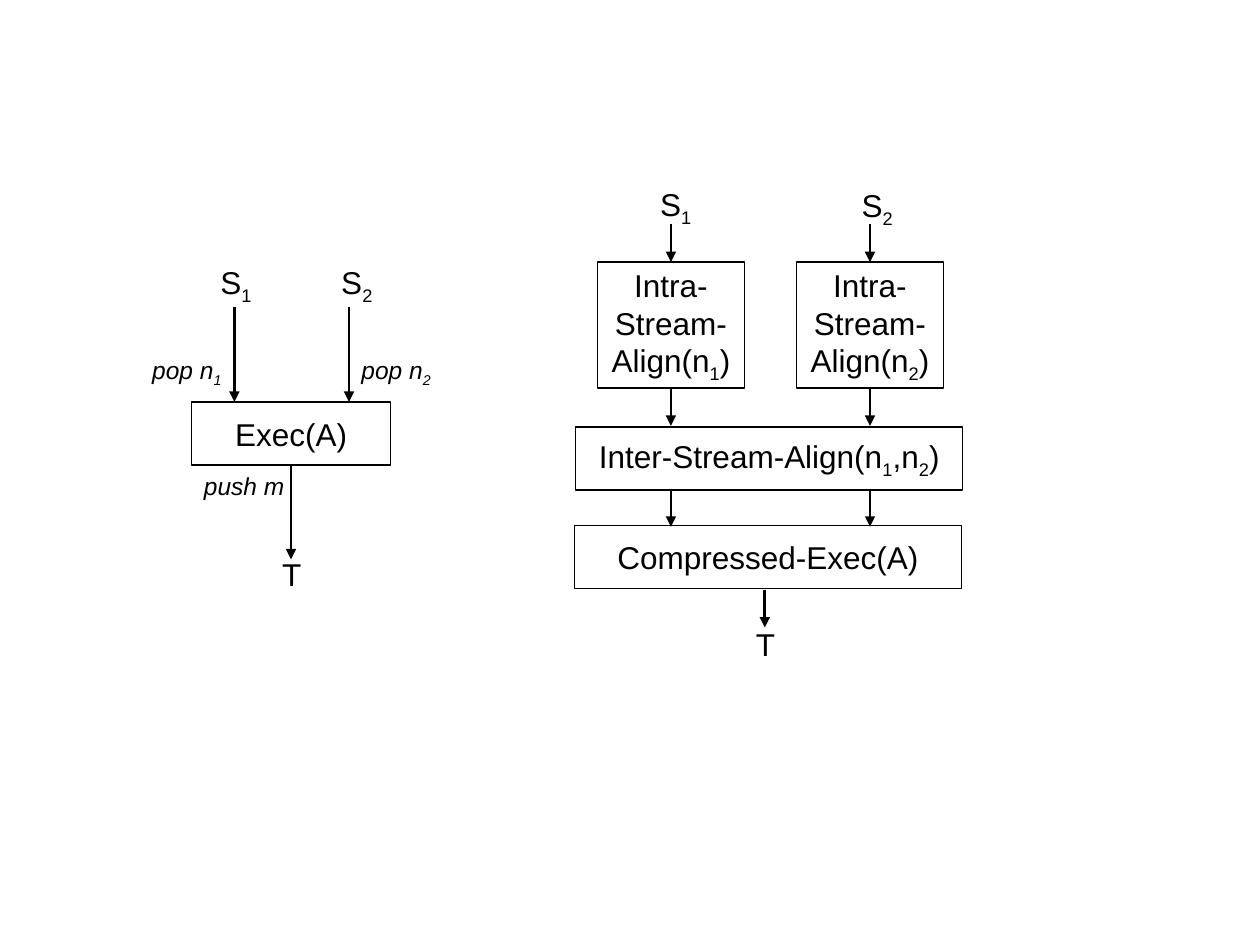
from lxml.etree import SubElement
from pptx import Presentation
from pptx.dml.color import RGBColor
from pptx.enum.shapes import MSO_CONNECTOR as Connector, MSO_SHAPE as Shape
from pptx.enum.text import MSO_ANCHOR as Anchor, MSO_AUTO_SIZE as AutoSize, PP_ALIGN as Align
from pptx.oxml.ns import qn
from pptx.util import Inches, Pt

COLORS = {"ink": "000000"}
COLUMNS, ROWS = 100, 75
TOP, BOTTOM = 0, 2  # connection sites of a rectangle


class FlowSlide:
    """Style and current slide; places are given in grid columns and rows."""
    font = "Arial"
    label_size, note_size = 18, 14
    box_line, arrow_line = 0.75, 1.5

    def __init__(self, deck):
        self.page = deck.slides.add_slide(deck.slide_layouts[6])
        self.column = deck.slide_width / COLUMNS
        self.row = deck.slide_height / ROWS
        self.ink = RGBColor.from_string(COLORS["ink"])

    def grid(self, *places):
        """Turn alternating columns and rows into lengths."""
        units = (self.column, self.row)
        return [round(place * units[i % 2]) for i, place in enumerate(places)]

    def add_text(self, frame, text, size, italic=False):
        """Add text run by run; every second part between bars is a subscript."""
        frame.word_wrap = False
        para = frame.paragraphs[0]
        for i, part in enumerate(text.split("|")):
            for j, line in enumerate(part.split("\n")):
                if j:
                    para.add_line_break()
                if not line:
                    continue
                span = para.add_run()
                span.text = line
                span.font.name = self.font
                span.font.size = Pt(size)
                span.font.italic = italic
                span.font.color.rgb = self.ink
                if i % 2:
                    span.font._element.set("baseline", "-25000")
        return para

    def box(self, text, *place):
        box = self.page.shapes.add_shape(Shape.RECTANGLE, *self.grid(*place))
        box.shadow.inherit = False
        box.fill.background()
        box.line.color.rgb = self.ink
        box.line.width = Pt(self.box_line)
        box.text_frame.vertical_anchor = Anchor.MIDDLE
        self.add_text(box.text_frame, text, self.label_size).alignment = Align.CENTER
        return box

    def label(self, text, *place, size=label_size, italic=False):
        frame = self.page.shapes.add_textbox(*self.grid(*place)).text_frame
        self.add_text(frame, text, size, italic).alignment = Align.LEFT
        frame.auto_size = AutoSize.SHAPE_TO_FIT_TEXT

    def note(self, text, *place):
        self.label(text, *place, size=self.note_size, italic=True)

    def arrow(self, column, row, length, source=None, target=None):
        """Draw a downward arrow, joined to the boxes it leaves or reaches."""
        ends = self.grid(column, row, column, row + length)
        arrow = self.page.shapes.add_connector(Connector.STRAIGHT, *ends)
        if source is not None:
            arrow.begin_connect(source, BOTTOM)
        if target is not None:
            arrow.end_connect(target, TOP)
        arrow.line.color.rgb = self.ink
        arrow.line.width = Pt(self.arrow_line)
        SubElement(arrow.line._get_or_add_ln(), qn("a:tailEnd"), type="triangle")
        SubElement(arrow._element.spPr, qn("a:effectLst"))


def draw_plain(flow):
    # Inputs, each popped into the actor
    for number, label_at, arrow_at, note_at in ((1, 16.5, 18.6, 11.1), (2, 26.1, 27.7, 27.7)):
        flow.label(f"S|{number}|", label_at, 20.4, 4.5, 4.4)
        flow.arrow(arrow_at, 24.4, 7.5)
        flow.note(f"pop n|{number}|", note_at, 27.7, 7.5, 3.7)

    # Actor and its output
    actor = flow.box("Exec(A)", 15.2, 31.9, 15.8, 5)
    flow.arrow(23.1, 36.9, 7.5, source=actor)
    flow.note("push m", 15.2, 36.9, 8.4, 3.4)
    flow.label("T", 21.4, 43.6, 3.5, 4)


def draw_compressed(flow):
    width, step = 11.7, 3

    # Stages shared by both streams
    flow.box("Inter-Stream-Align(n|1|,n|2|)", 45.7, 33.9, 30.7, 5)
    flow.box("Compressed-Exec(A)", 45.6, 41.7, 30.7, 5)

    # One lane for each stream
    for number, left, label_at, label_top in ((1, 47.4, 51.4, 14.2), (2, 63.2, 67.4, 14.3)):
        middle = left + width / 2
        flow.label(f"S|{number}|", label_at, label_top, 4.5, 4.4)
        align = flow.box(f"Intra-\nStream-\nAlign(n|{number}|)", left, 20.8, width, 10)
        flow.arrow(middle, 17.8, step, target=align)
        flow.arrow(middle, 30.8, step, source=align)
        flow.arrow(middle, 38.8, step)

    # Output
    flow.arrow(60.7, 46.8, step)
    flow.label("T", 59, 49.1, 3.5, 4)


def main():
    deck = Presentation()
    deck.slide_width, deck.slide_height = Inches(10), Inches(7.5)
    flow = FlowSlide(deck)
    draw_plain(flow)
    draw_compressed(flow)
    deck.save("out.pptx")


if __name__ == "__main__":
    main()
